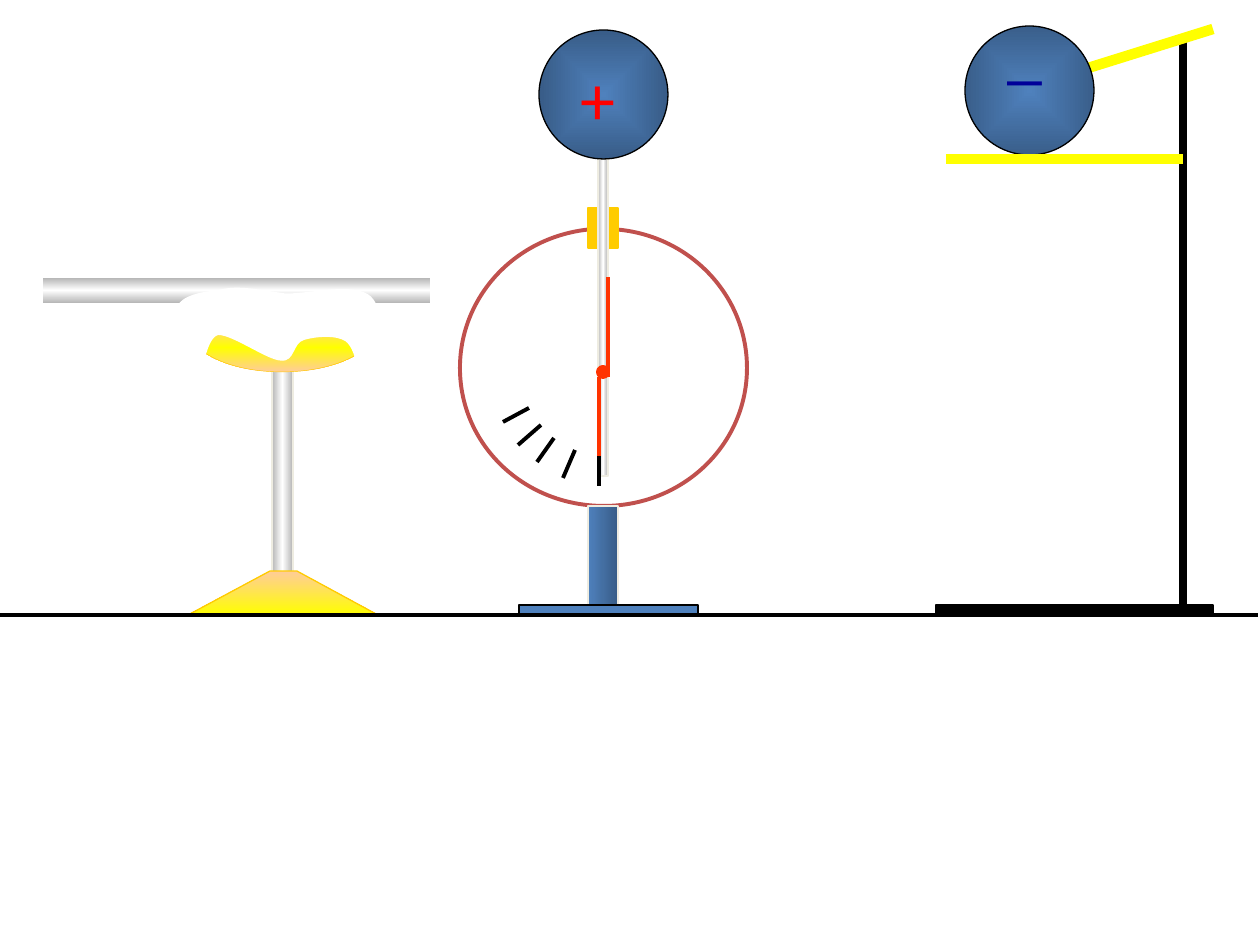
"""Builds a slide showing an electroscope, an insulated rod and a charged ball on a stand."""
from lxml import etree
from pptx import Presentation
from pptx.dml.color import RGBColor
from pptx.enum.shapes import MSO_CONNECTOR, MSO_SHAPE
from pptx.enum.text import MSO_AUTO_SIZE
from pptx.oxml.ns import qn
from pptx.util import Pt

RECTANGLE = MSO_SHAPE.RECTANGLE
OVAL = MSO_SHAPE.OVAL
STRAIGHT = MSO_CONNECTOR.STRAIGHT
FIT_SHAPE = MSO_AUTO_SIZE.SHAPE_TO_FIT_TEXT
EMU_PER_PX = 914400 / 126
SHADE = "46275"

COLORS = {
    "black": "000000", "white": "FFFFFF", "cream": "EEECE1",
    "blue": "4F81BD", "navy": "000099",
    "brick": "C0504D", "red": "FF0000", "orange": "FF3300",
    "gold": "FFCC00", "yellow": "FFFF00", "peach": "FFCC99",
}
METAL = ("shaded white", "white", "shaded white")
BALL = ("blue", "shaded blue")


def emu(px):
    return round(px * EMU_PER_PX)


class Painter:
    def __init__(self, page, font="Calibri"):
        self.page = page
        self.font = font

    def color(self, name):
        return RGBColor.from_string(COLORS[name])

    def gradient(self, shape, names, angle):
        shape.fill.gradient()
        fill = shape._element.spPr.find(qn("a:gradFill"))
        for child in list(fill):
            fill.remove(child)
        stops = etree.SubElement(fill, qn("a:gsLst"))
        for index, name in enumerate(names):
            position = 100000 * index // (len(names) - 1)
            stop = etree.SubElement(stops, qn("a:gs"), pos=str(position))
            base = name.removeprefix("shaded ")
            color = etree.SubElement(stop, qn("a:srgbClr"), val=COLORS[base])
            if base != name:
                etree.SubElement(color, qn("a:shade"), val=SHADE)
        if angle is None:
            center = etree.SubElement(fill, qn("a:path"), {"path": "shape"})
            etree.SubElement(center, qn("a:fillToRect"), l="50000", t="50000", r="50000", b="50000")
        else:
            etree.SubElement(fill, qn("a:lin"), ang=str(angle * 60000), scaled="1")

    def paint(self, shape, fill, line, width, angle, turn):
        shape.shadow.inherit = False
        shape.rotation = turn
        if fill is None:
            shape.fill.background()
        elif isinstance(fill, tuple):
            self.gradient(shape, fill, angle)
        else:
            shape.fill.solid()
            shape.fill.fore_color.rgb = self.color(fill)
        if line is None:
            shape.line.fill.background()
        else:
            shape.line.color.rgb = self.color(line)
            shape.line.width = Pt(width)

    def shape(self, kind, frame, fill, line="black", width=0.75, angle=None, turn=0):
        shape = self.page.shapes.add_shape(kind, *map(emu, frame))
        self.paint(shape, fill, line, width, angle, turn)

    def outline(self, points, fill, line, width=0.75, angle=None, turn=0, curves=0, close=True):
        scaled = [(emu(x), emu(y)) for x, y in points]
        builder = self.page.shapes.build_freeform(*scaled[0], scale=1.0)
        builder.add_line_segments(scaled[1:], close=close)
        shape = builder.convert_to_shape()
        segments = list(shape._element.iter(qn("a:lnTo")))
        for index in range(0, 3 * curves, 3):
            curve = etree.Element(qn("a:cubicBezTo"))
            segments[index].addprevious(curve)
            for segment in segments[index:index + 3]:
                curve.append(segment[0])
                segment.getparent().remove(segment)
        self.paint(shape, fill, line, width, angle, turn)

    def line(self, ends, color="black", width=2.25):
        line = self.page.shapes.add_connector(STRAIGHT, *map(emu, ends))
        line.line.color.rgb = self.color(color)
        line.line.width = Pt(width)
        etree.SubElement(line._element.spPr, qn("a:effectLst"))

    def sign(self, frame, text, color):
        box = self.page.shapes.add_textbox(*map(emu, frame))
        box.text_frame.word_wrap = False
        box.text_frame.auto_size = FIT_SHAPE
        para = box.text_frame.paragraphs[0]
        para.text = text
        para.font.name = self.font
        para.font.size = Pt(40)
        para.font.color.rgb = self.color(color)


def draw_electroscope(painter):
    ring = [(604, 229),
            (683, 229), (747, 291), (747, 368),
            (747, 445), (683, 506), (604, 506),
            (524, 506), (460, 445), (460, 368),
            (460, 295), (518, 234), (595, 229)]
    painter.outline(ring, None, "brick", 2.25, curves=4, close=False)
    painter.shape(RECTANGLE, (588, 506, 30, 99), BALL, "cream", angle=0)
    painter.shape(RECTANGLE, (519, 605, 179, 10), "blue")
    painter.shape(RECTANGLE, (588, 208, 30, 40), "gold", "gold")
    painter.shape(RECTANGLE, (598, 159, 10, 317), METAL, "cream", angle=0)
    painter.line((608, 277, 608, 377), "orange")
    painter.line((599, 377, 599, 476), "orange")
    painter.shape(OVAL, (598, 367, 10, 10), "orange", "orange", 2.25)
    scale_marks = ((575, 450, 563, 478), (554, 438, 537, 462), (541, 425, 518, 445),
                   (599, 456, 599, 486), (529, 408, 503, 422))
    for mark in scale_marks:
        painter.line(mark)
    painter.shape(OVAL, (539, 30, 129, 129), BALL)


def draw_rod_holder(painter):
    painter.shape(RECTANGLE, (43, 278, 387, 25), METAL, None, angle=90)
    painter.shape(RECTANGLE, (272, 368, 21, 224), METAL, "cream", angle=0)
    cup = [(188, 334),
           (198, 357), (237, 372), (282, 372),
           (333, 372), (374, 353), (378, 328),
           (282, 323)]
    painter.outline(cup, ("yellow", "peach"), "gold", 0.25, curves=2)
    foot = [(270, 571), (188, 615), (378, 615), (297, 571)]
    painter.outline(foot, ("peach", "yellow"), "gold", angle=90)
    cutout = [(197, 383),
              (190, 379), (172, 330), (175, 315),
              (179, 301), (201, 297), (217, 294),
              (236, 288), (257, 292), (283, 294),
              (308, 293), (351, 278), (368, 292),
              (386, 308), (390, 368), (390, 383),
              (391, 398), (376, 391), (368, 383),
              (361, 374), (358, 345), (346, 337),
              (336, 331), (315, 334), (304, 338),
              (292, 342), (296, 361), (282, 360),
              (268, 360), (233, 337), (218, 338),
              (204, 342), (205, 386), (197, 383)]
    painter.outline(cutout, "white", "white", turn=3.3, curves=11)


def draw_stand(painter):
    painter.shape(RECTANGLE, (936, 605, 277, 10), "black")
    painter.line((1183, 605, 1183, 40), width=4.5)


def draw_charged_ball(painter):
    painter.line((1085, 69, 1213, 29), "yellow", 6)
    painter.shape(OVAL, (965, 26, 129, 129), BALL, turn=3.9)
    painter.sign((995, 0, 64, 97), "_", "navy")
    painter.line((946, 159, 1183, 159), "yellow", 6)


def main():
    deck = Presentation()
    deck.slide_width, deck.slide_height = emu(1260), emu(945)
    painter = Painter(deck.slides.add_slide(deck.slide_layouts[6]))
    draw_electroscope(painter)
    draw_stand(painter)
    draw_rod_holder(painter)
    painter.line((-2, 615, 1258, 615))
    painter.sign((568, 49, 67, 97), "+", "red")
    draw_charged_ball(painter)
    deck.save("out.pptx")


if __name__ == "__main__":
    main()
